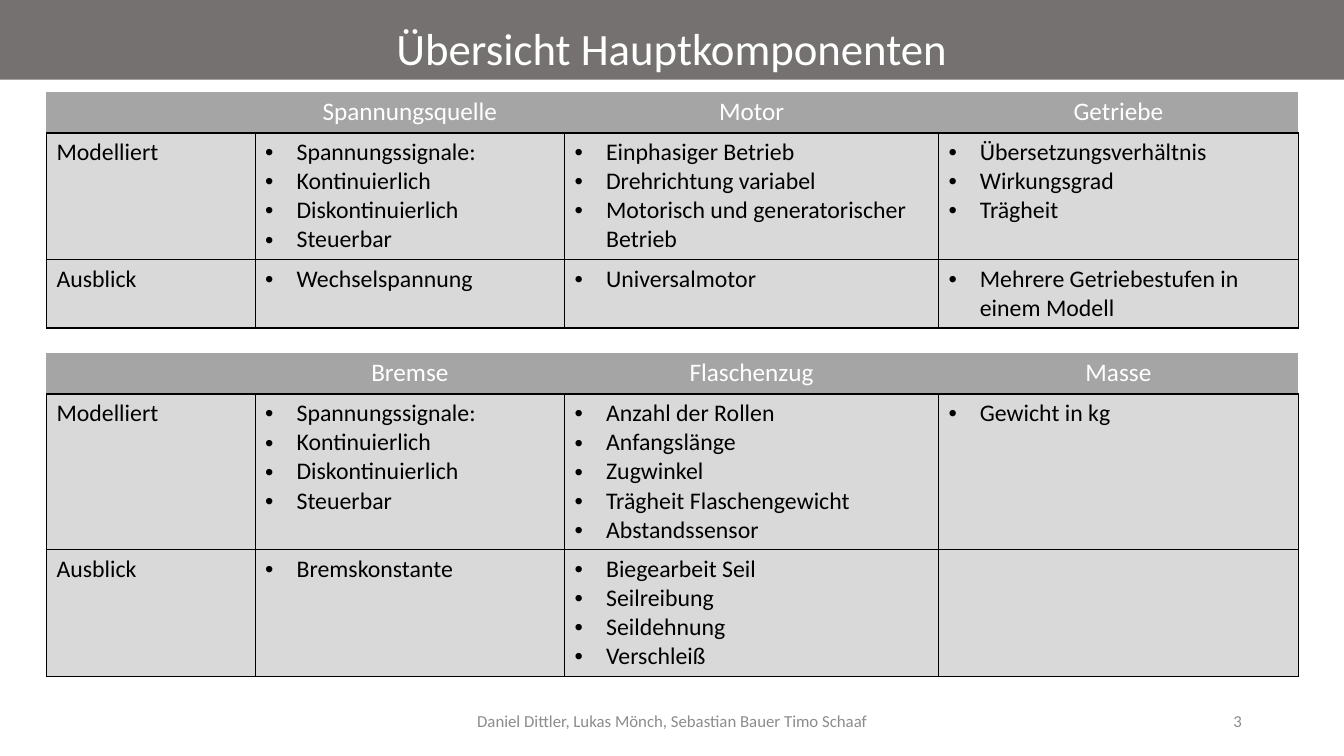
from dataclasses import dataclass

from lxml import etree
from pptx import Presentation
from pptx.dml.color import RGBColor
from pptx.enum import text
from pptx.oxml import ns
from pptx.util import Cm, Pt


@dataclass(frozen=True)
class Theme:
    font: str = "Calibri"
    banner: str = "767171"
    header: str = "A5A5A5"
    body: str = "D9D9D9"
    light: str = "FFFFFF"
    dark: str = "000000"
    muted: str = "8C8C8C"
    title_size: int = 32
    header_size: int = 18
    body_size: int = 17
    footer_size: int = 12


theme = Theme()
ALIGN = text.PP_ALIGN


def write(frame, lines, size=theme.body_size, color=theme.dark,
          align=ALIGN.LEFT, bullet=False, spacing=1.0):
    """Write one paragraph per line of text."""
    frame.word_wrap = True
    for index, line in enumerate(lines.split("\n")):
        para = frame.add_paragraph() if index else frame.paragraphs[0]
        para.alignment = align
        para.line_spacing = spacing
        para.font.size = Pt(size)
        if line:
            span = para.add_run()
            span.text = line
            span.font.name = theme.font
            span.font.size = Pt(size)
            span.font.color.rgb = RGBColor.from_string(color)
        if bullet and line:
            props = para._p.get_or_add_pPr()
            props.set("marL", str(Cm(0.79)))
            props.set("indent", str(-Cm(0.79)))
            font = etree.SubElement(props, ns.qn("a:buFont"), typeface="Arial")
            font.addnext(etree.Element(ns.qn("a:buChar"), char="•"))


def style_cell(cell, fill, visible_sides):
    """Draw borders on the named sides only, then fill the cell."""
    props = cell._tc.get_or_add_tcPr()
    for side in "LRTB":
        line = etree.SubElement(props, ns.qn(f"a:ln{side}"), w=str(Pt(1)))
        if side in visible_sides:
            paint = etree.SubElement(line, ns.qn("a:solidFill"))
            etree.SubElement(paint, ns.qn("a:srgbClr"), val=theme.dark)
        else:
            etree.SubElement(line, ns.qn("a:noFill"))
    cell.fill.solid()
    cell.fill.fore_color.rgb = RGBColor.from_string(fill)


deck = Presentation()
deck.slide_width, deck.slide_height = Cm(33.87), Cm(19.05)
page = deck.slides.add_slide(deck.slide_layouts[5])

# Title banner
title = page.shapes.title
title.left, title.top, title.width, title.height = 0, 0, deck.slide_width, Cm(2.01)
title.fill.solid()
title.fill.fore_color.rgb = RGBColor.from_string(theme.banner)
title.text_frame.auto_size = text.MSO_AUTO_SIZE.NONE
title.text_frame.vertical_anchor = text.MSO_ANCHOR.BOTTOM
write(title.text_frame, "Übersicht Hauptkomponenten", size=theme.title_size,
      color=theme.light, align=ALIGN.CENTER, spacing=0.9)

# Component tables: top, row heights, rows of cells
signals = "Spannungssignale:\nKontinuierlich\nDiskontinuierlich\nSteuerbar"
component_tables = [
    (2.31, [1.04, 3.17, 1.73], [
        ["", "Spannungsquelle", "Motor", "Getriebe"],
        ["Modelliert", signals,
         "Einphasiger Betrieb\nDrehrichtung variabel\n"
         "Motorisch und generatorischer Betrieb",
         "Übersetzungsverhältnis\nWirkungsgrad\nTrägheit"],
        ["Ausblick", "Wechselspannung", "Universalmotor",
         "Mehrere Getriebestufen in einem Modell"],
    ]),
    (8.89, [1.04, 3.91, 3.19], [
        ["", "Bremse", "Flaschenzug", "Masse"],
        ["Modelliert", signals,
         "Anzahl der Rollen\nAnfangslänge\nZugwinkel\n"
         "Trägheit Flaschengewicht\nAbstandssensor",
         "Gewicht in kg"],
        ["Ausblick", "Bremskonstante",
         "Biegearbeit Seil\nSeilreibung\nSeildehnung\nVerschleiß", ""],
    ]),
]
column_widths = [5.26, 7.8, 9.42, 9.07]

for top, row_heights, rows in component_tables:
    table = page.shapes.add_table(
        len(rows), len(column_widths), Cm(1.17), Cm(top),
        Cm(sum(column_widths)), Cm(sum(row_heights))).table
    table.horz_banding = False
    for column, width in zip(table.columns, column_widths):
        column.width = Cm(width)
    for row_index, (height, row) in enumerate(zip(row_heights, rows)):
        table.rows[row_index].height = Cm(height)
        for column_index, words in enumerate(row):
            cell = table.cell(row_index, column_index)
            if row_index == 0:
                style_cell(cell, theme.header, "B")
                write(cell.text_frame, words, size=theme.header_size,
                      color=theme.light, align=ALIGN.CENTER)
            else:
                style_cell(cell, theme.body, "LRTB")
                write(cell.text_frame, words, bullet=column_index > 0)

# Footer: authors and page number
footers = [
    (11.23, 11.43, "Daniel Dittler, Lukas Mönch, Sebastian Bauer Timo Schaaf", ALIGN.CENTER),
    (23.93, 7.62, "3", ALIGN.RIGHT),
]
for left, width, words, align in footers:
    box = page.shapes.add_textbox(Cm(left), Cm(17.65), Cm(width), Cm(1.02))
    box.text_frame.vertical_anchor = text.MSO_ANCHOR.MIDDLE
    write(box.text_frame, words, size=theme.footer_size, color=theme.muted, align=align)

deck.save("out.pptx")
